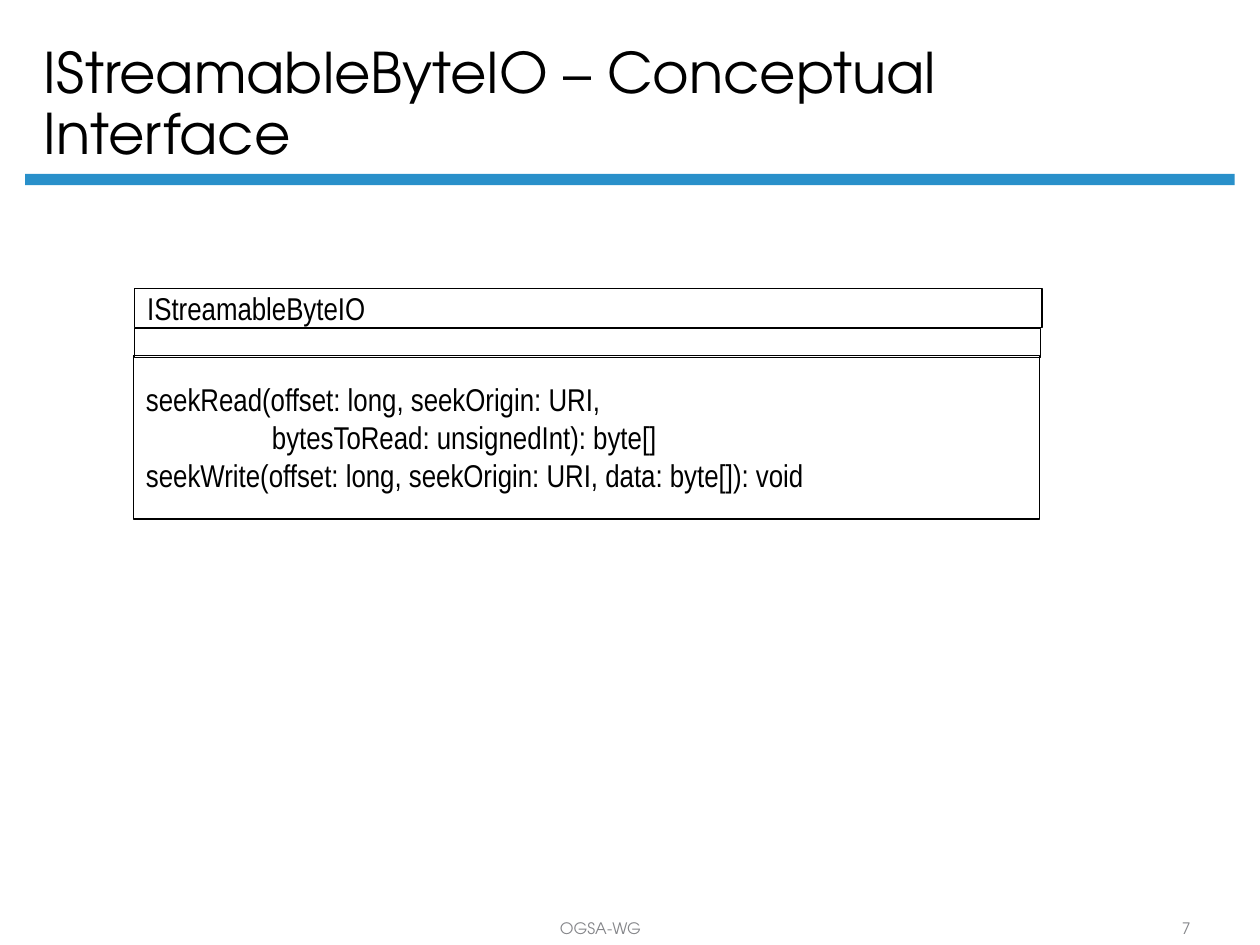
"""Build the IStreamableByteIO interface slide."""
from dataclasses import dataclass
from typing import Optional

from lxml.etree import SubElement
from pptx import Presentation
from pptx.dml.color import RGBColor
from pptx.enum.shapes import MSO_SHAPE
from pptx.enum.text import MSO_ANCHOR, PP_ALIGN
from pptx.oxml.ns import qn
from pptx.util import Inches, Pt

BLACK = RGBColor(0x00, 0x00, 0x00)
BLUE = RGBColor(0x29, 0x90, 0xCA)
GRAY = RGBColor(0x84, 0x85, 0x89)
SANS = "TeX Gyre Adventor"
SLIM = "Arial Narrow"
WIDE, HIGH = Inches(10), Inches(7.5)
COLS, ROWS = 100, 75


@dataclass(frozen=True)
class Area:
    """Place and size in columns and rows of the slide grid."""
    col: float
    row: float
    cols: float
    rows: float

    def box(self) -> tuple[int, int, int, int]:
        """Give left, top, width and height in slide units."""
        x, y = WIDE / COLS, HIGH / ROWS
        return (round(self.col * x), round(self.row * y),
                round(self.cols * x), round(self.rows * y))


@dataclass(frozen=True)
class Style:
    """Look of a block of text."""
    font: str
    size: int
    color: RGBColor
    align: PP_ALIGN = PP_ALIGN.LEFT
    anchor: MSO_ANCHOR = MSO_ANCHOR.BOTTOM
    space: Optional[float] = None


@dataclass(frozen=True)
class Label:
    """Text box with one line of text."""
    area: Area
    text: str
    style: Style


@dataclass(frozen=True)
class Part:
    """Compartment of the interface box."""
    area: Area
    lines: tuple[str, ...] = ()


HEAD = Style(SANS, 32, BLACK, space=0.9)
BODY = Style(SLIM, 18, BLACK, anchor=MSO_ANCHOR.MIDDLE)
FOOT = Style(SANS, 9, GRAY, PP_ALIGN.CENTER)

RULE = Area(2, 13.8, 96, 0.9)
LABELS = (
    Label(Area(2.5, 1.2, 85.6, 12.5),
          "IStreamableByteIO – Conceptual Interface", HEAD),
    Label(Area(23.3, 72.5, 48.7, 2.4), "OGSA-WG", FOOT),
    Label(Area(90, 72.5, 8.3, 2.4), "7", FOOT),
)
PARTS = (
    Part(Area(10.7, 22.9, 72, 3.1), ("IStreamableByteIO",)),
    Part(Area(10.7, 26.1, 71.9, 2.3)),
    Part(Area(10.6, 28.2, 71.9, 13), (
        "seekRead(offset: long, seekOrigin: URI,",
        "\tbytesToRead: unsignedInt): byte[]",
        "seekWrite(offset: long, seekOrigin: URI, data: byte[]): void",
    )),
)


def write(shape, lines: tuple[str, ...], style: Style) -> None:
    """Fill a shape with one paragraph per line."""
    frame = shape.text_frame
    frame.word_wrap = True
    frame.vertical_anchor = style.anchor
    for spot, line in enumerate(lines):
        para = frame.add_paragraph() if spot else frame.paragraphs[0]
        para.alignment = style.align
        if style.space:
            para.line_spacing = style.space
        if line.startswith("\t"):
            tabs = SubElement(para._p.get_or_add_pPr(), qn("a:tabLst"))
            SubElement(tabs, qn("a:tab"), pos=str(Inches(1)), algn="l")
        run = para.add_run()
        run.text = line
        run.font.name = style.font
        run.font.size = Pt(style.size)
        run.font.color.rgb = style.color


def draw_rule(slide, area: Area) -> None:
    """Draw the bar below the title."""
    bar = slide.shapes.add_shape(MSO_SHAPE.RECTANGLE, *area.box())
    bar.shadow.inherit = False
    bar.fill.solid()
    bar.fill.fore_color.rgb = BLUE
    bar.line.fill.background()


def draw_label(slide, label: Label) -> None:
    """Draw a text box."""
    box = slide.shapes.add_textbox(*label.area.box())
    write(box, (label.text,), label.style)


def draw_part(slide, part: Part) -> None:
    """Draw an outlined compartment."""
    box = slide.shapes.add_shape(MSO_SHAPE.RECTANGLE, *part.area.box())
    box.shadow.inherit = False
    box.fill.background()
    box.line.color.rgb = BLACK
    box.line.width = Pt(0.75)
    write(box, part.lines, BODY)


def main() -> None:
    """Build and save the slide."""
    deck = Presentation()
    deck.slide_width, deck.slide_height = WIDE, HIGH
    slide = deck.slides.add_slide(deck.slide_layouts[6])
    draw_rule(slide, RULE)
    for label in LABELS:
        draw_label(slide, label)
    for part in PARTS:
        draw_part(slide, part)
    deck.save("out.pptx")


if __name__ == "__main__":
    main()
